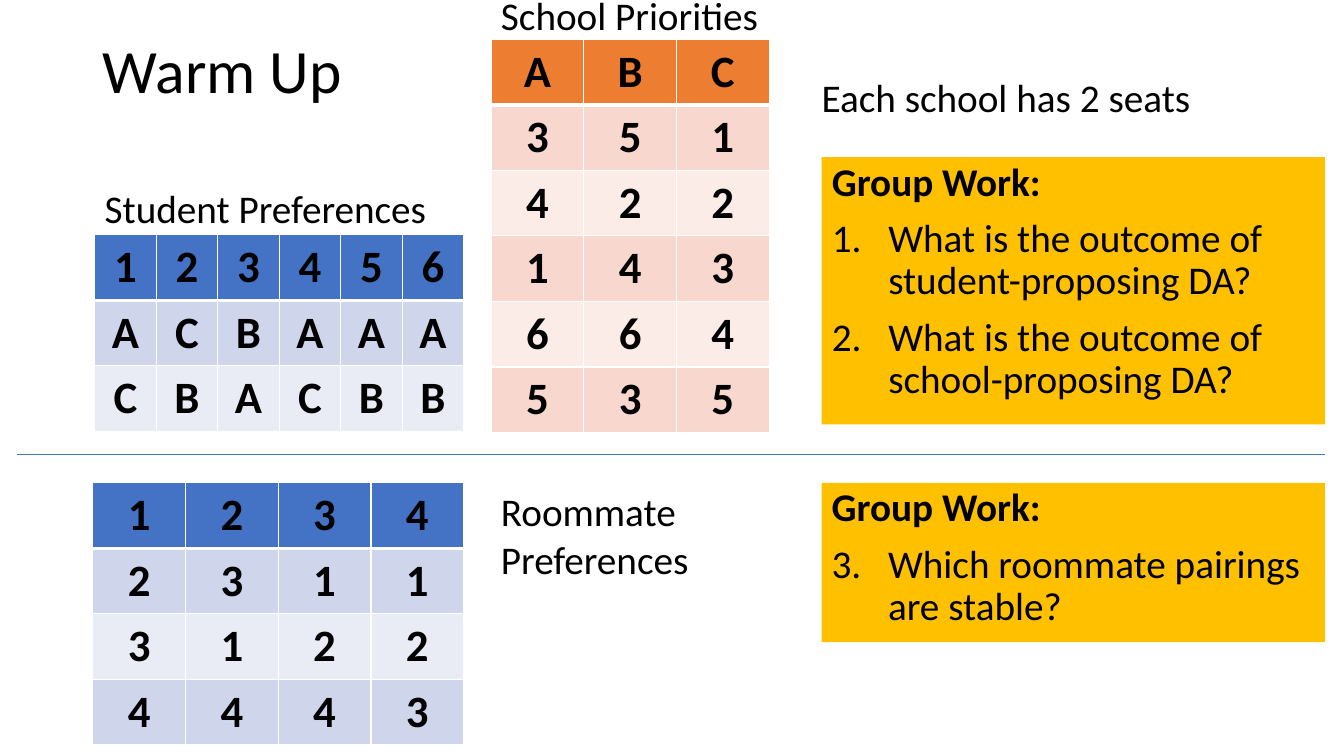
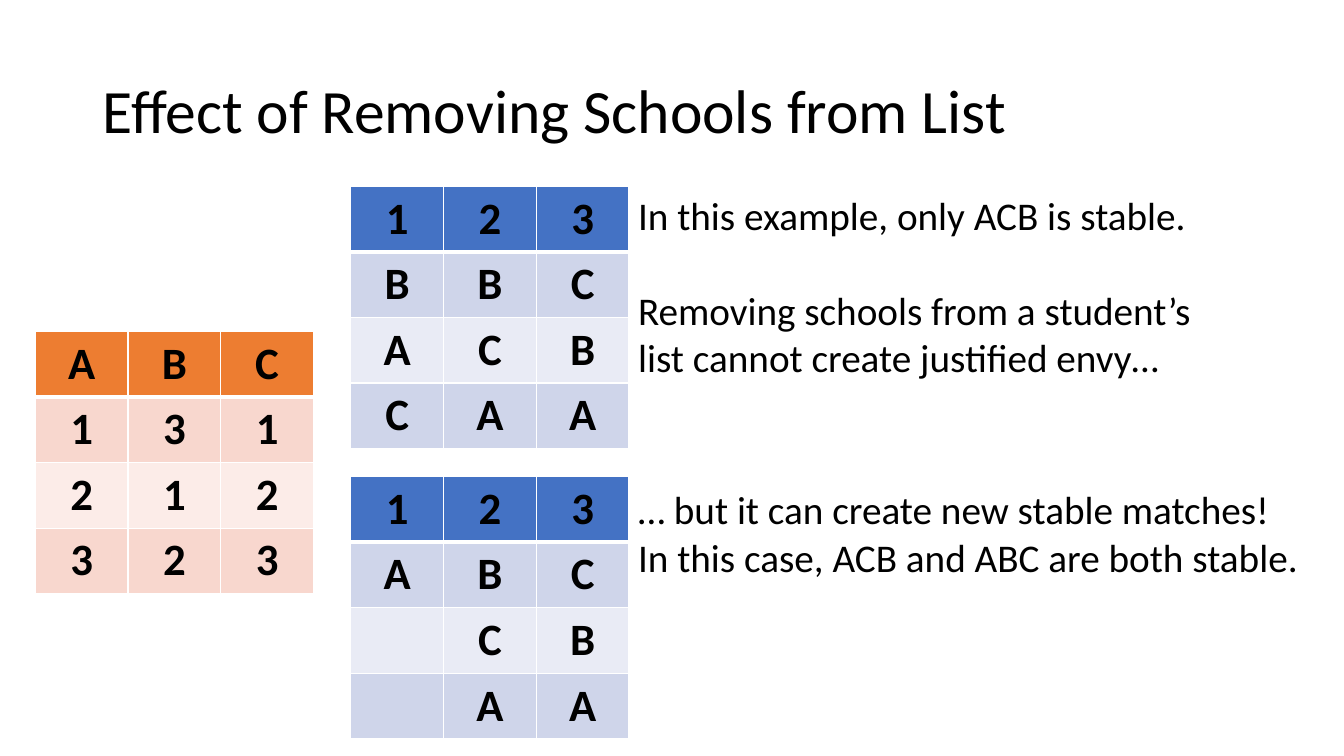
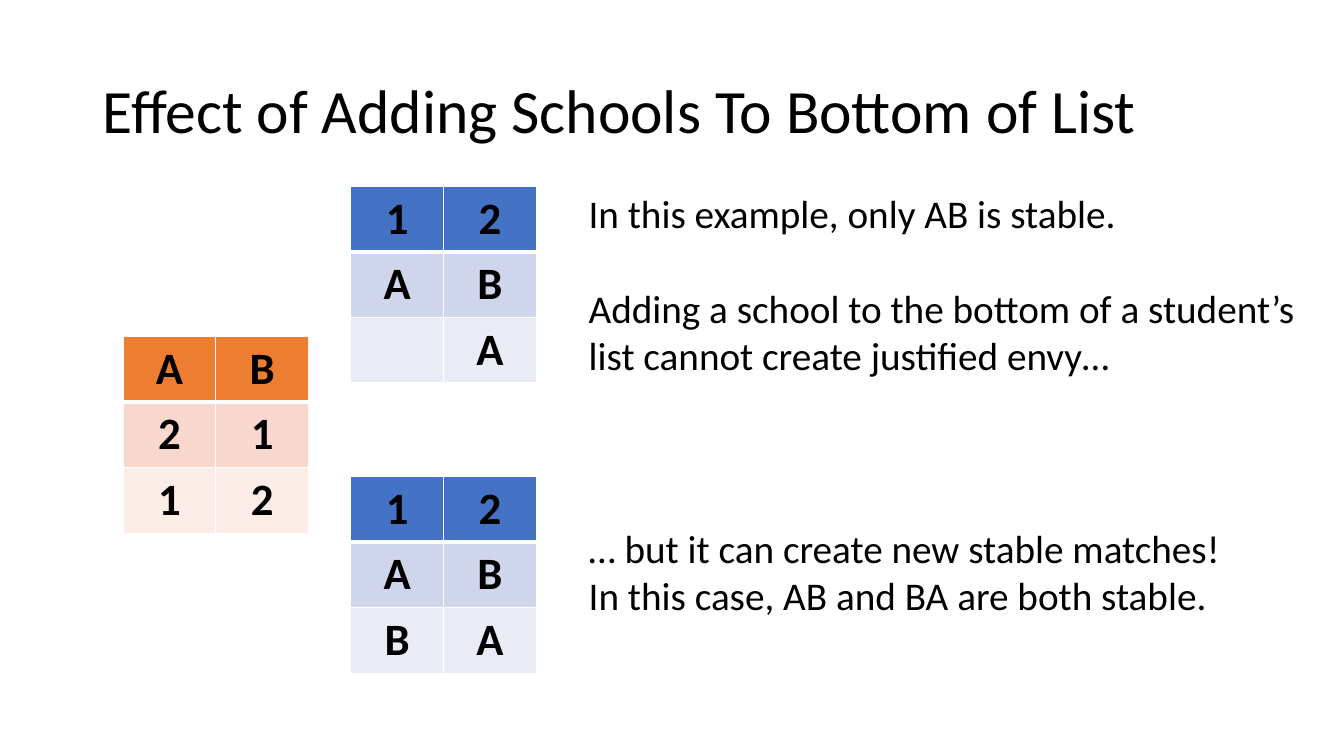
from pptx import Presentation
from pptx.dml.color import RGBColor
from pptx.enum.shapes import MSO_CONNECTOR, MSO_SHAPE
from pptx.enum.text import MSO_ANCHOR, MSO_AUTO_SIZE, PP_ALIGN
from pptx.oxml import parse_xml
from pptx.oxml.ns import nsdecls
from pptx.util import Inches, Pt

BLACK, WHITE, BLUE, GOLD = "000000", "FFFFFF", "4472C4", "FFC000"
STUDENT = {"header": BLUE, "bands": ("CFD5EA", "E9EBF5")}
SCHOOL = {"header": "ED7D31", "bands": ("F8D7CE", "FCECE8")}

TITLE_FORMAT = {"name": "Calibri", "size": Pt(44), "bold": False}
TEXT_FORMAT = {"name": "Calibri", "size": Pt(28), "bold": False}
HEADING_FORMAT = {**TEXT_FORMAT, "bold": True}
CELL_FORMAT = {"name": "Calibri", "size": Pt(32), "bold": True}

ROW_HEIGHT = 0.65
COLUMN_WIDTH = 0.92
LINE_GAP = 34

SLIDES = [
    {
        "title": ("Warm Up", 0),
        "tables": [
            (STUDENT, 0.94, 2.33, 0.61, ["123456", "ACBAAA", "CBACBB"]),
            (SCHOOL, 4.87, 0.39, COLUMN_WIDTH, ["ABC", "351", "422", "143", "664", "535"]),
            (STUDENT, 0.92, 4.79, COLUMN_WIDTH, ["1234", "2311", "3122", "4443"]),
        ],
        "texts": [
            ((0.94, 1.78, 3.42, 0.57), ["Student Preferences"], 0, False),
            ((4.87, -0.14, 2.78, 0.57), ["School Priorities"], 0, False),
            ((8.05, 0.68, 4.51, 0.57), ["Each school has 2 seats"], 0, True),
            ((4.87, 4.79, 2.32, 1.04), ["Roommate Preferences"], 0, True),
        ],
        "tasks": [
            ((8.15, 1.56, 4.99, 2.65), 1, [
                "What is the outcome of student-proposing DA?",
                "What is the outcome of school-proposing DA?",
            ]),
            ((8.15, 4.79, 4.99, 1.58), 3, ["Which roommate pairings are stable?"]),
        ],
        "divider": (0.17, 13.14, 4.51),
    },
    {
        "title": ("Effect of Removing Schools from List", 0.4),
        "tables": [
            (STUDENT, 3.48, 1.85, COLUMN_WIDTH, ["123", "BBC", "ACB", "CAA"]),
            (SCHOOL, 0.35, 3.29, COLUMN_WIDTH, ["ABC", "131", "212", "323"]),
            (STUDENT, 3.48, 4.73, COLUMN_WIDTH, ["123", "ABC", " CB", " AA"]),
        ],
        "texts": [
            ((6.23, 1.85, 5.69, 1.99), [
                "In this example, only ACB is stable.",
                "Removing schools from a student’s list cannot create justified envy…",
            ], LINE_GAP, True),
            ((6.23, 4.77, 6.85, 1.04), [
                "… but it can create new stable matches!",
                "In this case, ACB and ABC are both stable.",
            ], 0, True),
        ],
    },
    {
        "title": ("Effect of Adding Schools To Bottom of List", 0.4),
        "tables": [
            (STUDENT, 3.48, 1.85, COLUMN_WIDTH, ["12", "AB", " A"]),
            (SCHOOL, 1.22, 3.34, COLUMN_WIDTH, ["AB", "21", "12"]),
            (STUDENT, 3.48, 4.73, COLUMN_WIDTH, ["12", "AB", "BA"]),
        ],
        "texts": [
            ((5.74, 1.83, 7.24, 1.99), [
                "In this example, only AB is stable.",
                "Adding a school to the bottom of a student’s list cannot create justified envy…",
            ], LINE_GAP, True),
            ((5.74, 5.15, 6.85, 1.04), [
                "… but it can create new stable matches!",
                "In this case, AB and BA are both stable.",
            ], 0, True),
        ],
    },
]


def color(value):
    return RGBColor.from_string(value)


def fill(target, value):
    target.fill.solid()
    target.fill.fore_color.rgb = color(value)


def place(shape, box):
    for name, length in zip(("left", "top", "width", "height"), box):
        setattr(shape, name, Inches(length))


def write(paragraph, text, text_format, alignment=PP_ALIGN.LEFT):
    paragraph.alignment = alignment
    run = paragraph.add_run()
    run.text = text
    for name, value in text_format.items():
        setattr(run.font, name, value)
    run.font.color.rgb = color(BLACK)


def add_paragraph(frame, index):
    return frame.add_paragraph() if index else frame.paragraphs[0]


def set_title(slide, text, top):
    title = slide.shapes.title
    place(title, (0.92, top, 11.5, 1.45))
    frame = title.text_frame
    frame.auto_size = MSO_AUTO_SIZE.NONE
    frame.vertical_anchor = MSO_ANCHOR.MIDDLE
    paragraph = frame.paragraphs[0]
    paragraph.line_spacing = 0.9
    write(paragraph, text, TITLE_FORMAT)


def set_borders(cell, bottom_width):
    properties = cell._tc.get_or_add_tcPr()
    widths = {"lnL": 1, "lnR": 1, "lnT": 1, "lnB": bottom_width}
    for position, (side, width) in enumerate(widths.items()):
        properties.insert(position, parse_xml(
            f'<a:{side} {nsdecls("a")} w="{Pt(width)}"><a:solidFill>'
            f'<a:srgbClr val="{WHITE}"/></a:solidFill></a:{side}>'))


def add_preferences(slide, palette, left, top, column_width, rows):
    columns = len(rows[0])
    table = slide.shapes.add_table(
        len(rows), columns, Inches(left), Inches(top),
        Inches(column_width * columns), Inches(ROW_HEIGHT * len(rows))).table
    for column in table.columns:
        column.width = Inches(column_width)
    for row_index, row in enumerate(rows):
        table.rows[row_index].height = Inches(ROW_HEIGHT)
        shade = palette["bands"][(row_index - 1) % 2] if row_index else palette["header"]
        for column_index, text in enumerate(row):
            cell = table.cell(row_index, column_index)
            fill(cell, shade)
            set_borders(cell, 1 if row_index else 3)
            if text.strip():
                write(cell.text_frame.paragraphs[0], text, CELL_FORMAT, PP_ALIGN.CENTER)


def add_text(slide, box, lines, gap, wrap):
    shape = slide.shapes.add_textbox(*map(Inches, box))
    frame = shape.text_frame
    frame.word_wrap = wrap
    frame.auto_size = MSO_AUTO_SIZE.SHAPE_TO_FIT_TEXT
    for index, line in enumerate(lines):
        paragraph = add_paragraph(frame, index)
        if index and gap:
            paragraph.space_before = Pt(gap)
        write(paragraph, line, TEXT_FORMAT)


def set_number(paragraph, start):
    properties = paragraph._p.get_or_add_pPr()
    indent = Inches(0.56) if start else 0
    properties.set("marL", str(indent))
    properties.set("indent", str(-indent))
    bullet = f'buAutoNum type="arabicPeriod" startAt="{start}"' if start else "buNone"
    properties.append(parse_xml(f'<a:{bullet} {nsdecls("a")}/>'))


def fill_tasks(shape, box, start, tasks):
    place(shape, box)
    fill(shape, GOLD)
    frame = shape.text_frame
    frame.word_wrap = True
    frame.auto_size = MSO_AUTO_SIZE.NONE
    frame.vertical_anchor = MSO_ANCHOR.TOP
    for index, text in enumerate(["Group Work:", *tasks]):
        paragraph = add_paragraph(frame, index)
        set_number(paragraph, start if index else 0)
        paragraph.line_spacing = 0.9
        paragraph.space_before = Pt(10 if index else 0)
        write(paragraph, text, TEXT_FORMAT if index else HEADING_FORMAT)


def add_task_panel(slide, box):
    panel = slide.shapes.add_shape(MSO_SHAPE.RECTANGLE, *map(Inches, box))
    panel.shadow.inherit = False
    panel.line.fill.background()
    return panel


def add_divider(slide, left, right, top):
    line = slide.shapes.add_connector(
        MSO_CONNECTOR.STRAIGHT, Inches(left), Inches(top), Inches(right), Inches(top))
    line.line.color.rgb = color(BLUE)
    line.line.width = Pt(0.5)
    line._element.spPr.append(parse_xml(f'<a:effectLst {nsdecls("a")}/>'))


def build_slide(presentation, content):
    tasks = content.get("tasks", [])
    layout = presentation.slide_layouts[1 if tasks else 5]
    slide = presentation.slides.add_slide(layout)
    set_title(slide, *content["title"])
    for index, (box, start, questions) in enumerate(tasks):
        shape = add_task_panel(slide, box) if index else slide.placeholders[1]
        fill_tasks(shape, box, start, questions)
    for table in content["tables"]:
        add_preferences(slide, *table)
    for text in content["texts"]:
        add_text(slide, *text)
    if "divider" in content:
        add_divider(slide, *content["divider"])


def main():
    presentation = Presentation()
    presentation.slide_width = Inches(13.33)
    presentation.slide_height = Inches(7.5)
    for content in SLIDES:
        build_slide(presentation, content)
    presentation.save("out.pptx")


if __name__ == "__main__":
    main()
